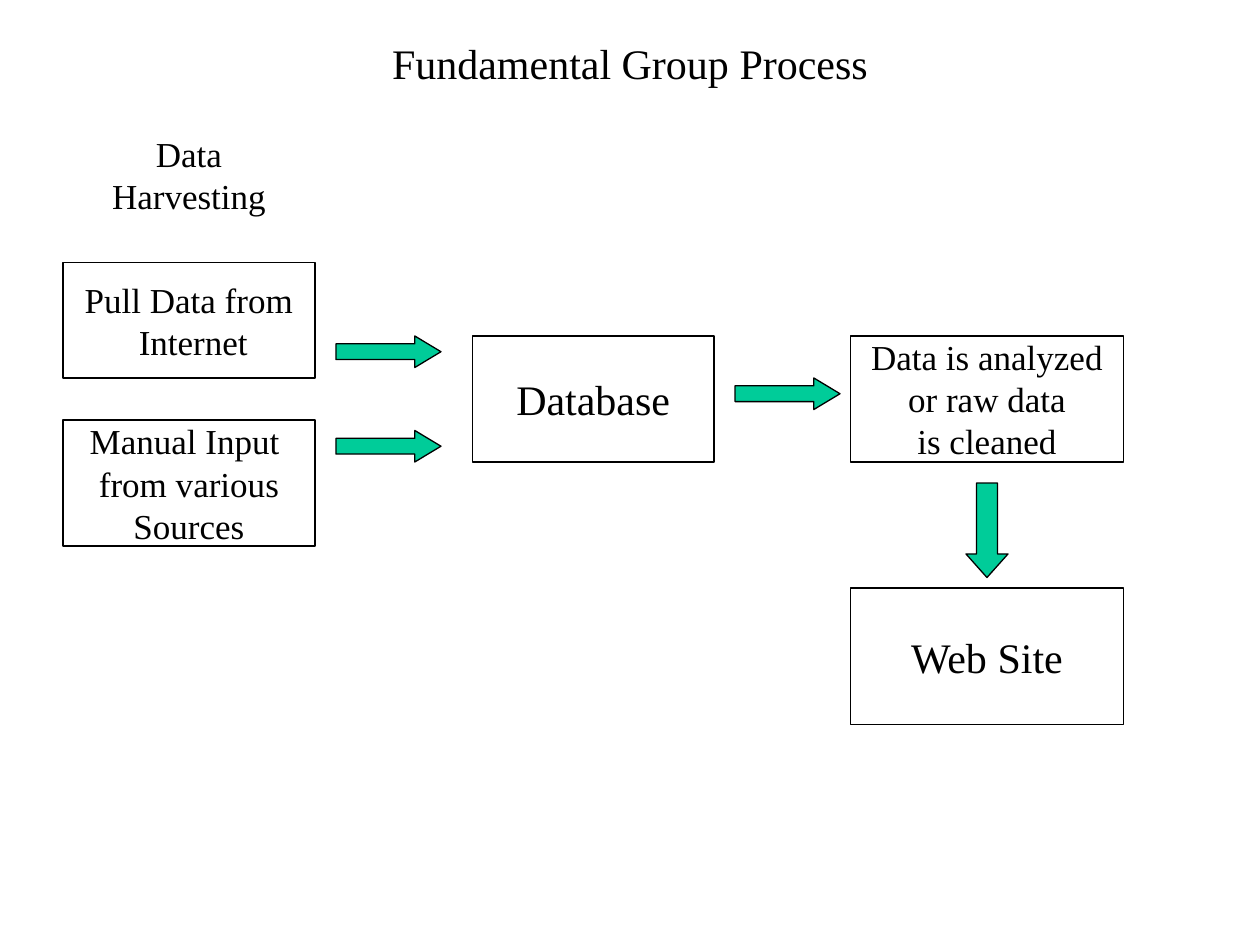
from pptx import Presentation
from pptx.dml.color import RGBColor
from pptx.enum.shapes import MSO_SHAPE
from pptx.enum.text import MSO_ANCHOR, MSO_AUTO_SIZE, PP_ALIGN
from pptx.util import Inches, Pt

PROCESS = MSO_SHAPE.FLOWCHART_PROCESS
RIGHT, DOWN = MSO_SHAPE.RIGHT_ARROW, MSO_SHAPE.DOWN_ARROW
TOP, MIDDLE = MSO_ANCHOR.TOP, MSO_ANCHOR.MIDDLE
CENTER = PP_ALIGN.CENTER
NO_AUTOFIT = MSO_AUTO_SIZE.NONE
BLACK = RGBColor(0x00, 0x00, 0x00)
WHITE = RGBColor(0xFF, 0xFF, 0xFF)
GREEN = RGBColor(0x00, 0xCC, 0x99)
FONT = "Times New Roman"
UNIT = Inches(1) // 12

TITLE = ("Fundamental Group Process", (0, 3, 120, 6))
HEADING = ("Data Harvesting", (6, 12, 24, 9))
STEPS = [
    (["Pull Data from", " Internet"], 20, (6, 25, 24, 11)),
    (["Manual Input ", "from various", "Sources"], 20, (6, 40, 24, 12)),
    (["Database"], 24, (45, 32, 23, 12)),
    (["Data is analyzed", "or raw data", "is cleaned"], 20, (81, 32, 26, 12)),
    (["Web Site"], 24, (81, 56, 26, 13)),
]
ARROWS = [
    (RIGHT, (32, 32, 10, 3)),
    (RIGHT, (32, 41, 10, 3)),
    (RIGHT, (70, 36, 10, 3)),
    (DOWN, (92, 46, 4, 9)),
]
HEAD_LENGTH = {RIGHT: 0.83, DOWN: 0.56}


def place(box):
    return [n * UNIT for n in box]


def write(sp, lines, size, anchor=TOP, wrap=True):
    tf = sp.text_frame
    tf.text = "\n".join(lines)
    frame = dict(auto_size=NO_AUTOFIT, word_wrap=wrap, vertical_anchor=anchor,
                 margin_left=Inches(0.1), margin_right=Inches(0.1),
                 margin_top=Inches(0.05), margin_bottom=Inches(0.05))
    for name, value in frame.items():
        setattr(tf, name, value)
    for p in tf.paragraphs:
        p.alignment = CENTER
        p.font.name = FONT
        p.font.size = Pt(size)
        p.font.color.rgb = BLACK


def add_shape(slide, kind, box, fill):
    sp = slide.shapes.add_shape(kind, *place(box))
    sp.shadow.inherit = False
    sp.fill.solid()
    sp.fill.fore_color.rgb = fill
    sp.line.color.rgb = BLACK
    sp.line.width = Pt(0.75)
    return sp


def main():
    prs = Presentation()
    prs.slide_width, prs.slide_height = Inches(10), Inches(7.5)
    s = prs.slides.add_slide(prs.slide_layouts[5])

    text, box = TITLE
    title = s.shapes.title
    title.left, title.top, title.width, title.height = place(box)
    write(title, [text], 24)

    text, box = HEADING
    write(s.shapes.add_textbox(*place(box)), [text], 20)

    for lines, size, box in STEPS:
        sp = add_shape(s, PROCESS, box, WHITE)
        write(sp, lines, size, MIDDLE, False)

    for kind, box in ARROWS:
        sp = add_shape(s, kind, box, GREEN)
        sp.adjustments[1] = HEAD_LENGTH[kind]

    prs.save("out.pptx")


if __name__ == "__main__":
    main()
